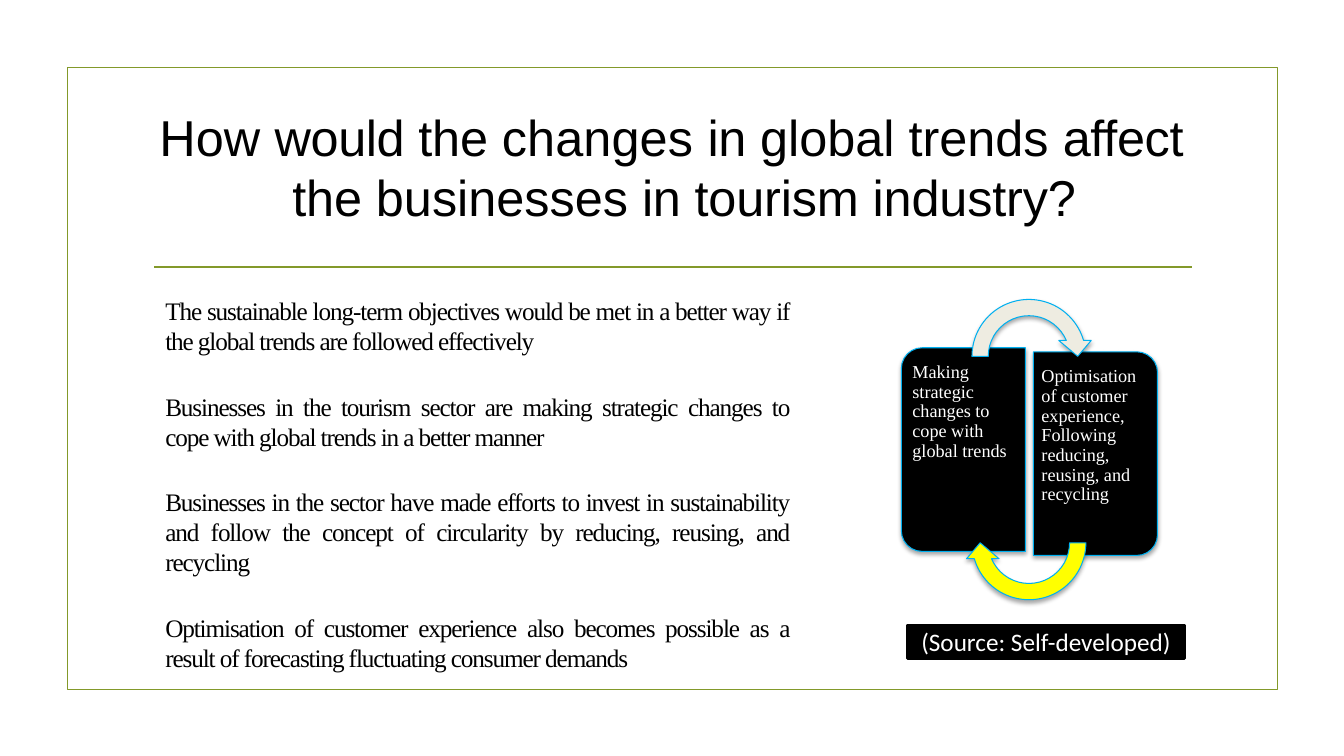
from lxml import etree
from pptx import Presentation
from pptx.dml.color import RGBColor
from pptx.enum import shapes, text
from pptx.oxml.ns import qn
from pptx.util import Inches, Pt

GREEN, BLACK, WHITE, BLUE = "83992A", "000000", "FFFFFF", "00B0F0"
SERIF = "Times New Roman"
TITLE = [("How ", 10), ("would ", -30), ("the ", -10), ("changes ", 10),
         ("in ", -30), ("global trends ", 0), ("affect ", -20), ("the ", -10),
         ("businesses ", 0), ("in ", -30), ("tourism industry?", -10)]
POINTS = [
    "The sustainable long-term objectives would be met in a better way if the "
    "global trends are followed effectively",
    "Businesses in the tourism sector are making strategic changes to cope with "
    "global trends in a better manner",
    "Businesses in the sector have made efforts to invest in sustainability and "
    "follow the concept of circularity by reducing, reusing, and recycling",
    "Optimisation of customer experience also becomes possible as a result of "
    "forecasting fluctuating consumer demands",
]
CARDS = [  # text, rotation, x and y offsets, left and right insets
    ("Making strategic changes to cope with global trends",
     270, 0, 0, 0.05, 0.08),
    ("Optimisation of customer experience, Following reducing, reusing, and "
     "recycling", 90, 1.31, 0.04, 0.08, 0.05),
]
ARROWS = [("EEECE1", 0, 0), ("FFFF00", 180, 1.85)]  # fill, rotation, y offset


def rgb(value):
    return RGBColor.from_string(value)


def set_attrs(obj, values):
    for name, value in values.items():
        setattr(obj, name, value)


def add_run(p, words, font, size, color, spacing=0):
    r = p.add_run()
    r.text = words
    set_attrs(r.font, {"name": font, "size": Pt(size)})
    r.font.color.rgb = rgb(color)
    if spacing:
        r._r.get_or_add_rPr().set("spc", str(spacing))


def add_text_box(slide, box, insets):
    tf = slide.shapes.add_textbox(*map(Inches, box)).text_frame
    left, top, right, bottom = map(Inches, insets)
    set_attrs(tf, {"word_wrap": True, "margin_left": left, "margin_top": top,
                   "margin_right": right, "margin_bottom": bottom})
    return tf


def add_shape(slide, kind, box, fill, line, width, rotation=0, shadow=False):
    sp = slide.shapes.add_shape(kind, *map(Inches, box))
    sp.shadow.inherit = False
    sp.rotation = rotation
    if fill:
        sp.fill.solid()
        sp.fill.fore_color.rgb = rgb(fill)
    else:
        sp.fill.background()
    sp.line.color.rgb = rgb(line)
    sp.line.width = Pt(width)
    if shadow:
        effects = sp._element.spPr.find(qn("a:effectLst"))
        outer = etree.SubElement(effects, qn("a:outerShdw"), blurRad="40000",
                                 dist="23000", dir="5400000", rotWithShape="0")
        color = etree.SubElement(outer, qn("a:srgbClr"), val=BLACK)
        etree.SubElement(color, qn("a:alpha"), val="35000")
    return sp


def add_frame(slide, x, y, w, h):
    add_shape(slide, shapes.MSO_SHAPE.RECTANGLE, (x, y, w, h), None, GREEN, 1.25)
    # Rule under the title
    rule = slide.shapes.add_connector(
        shapes.MSO_CONNECTOR.STRAIGHT, Inches(x + 0.86), Inches(y + 1.98),
        Inches(x + 11.15), Inches(y + 1.98))
    rule.line.color.rgb = rgb(GREEN)
    rule.line.width = Pt(1.25)
    etree.SubElement(rule._element.spPr, qn("a:effectLst"))


def add_title(slide, x, y, w, h):
    p = add_text_box(slide, (x, y, w, h), (0, 0.22, 0, 0)).paragraphs[0]
    set_attrs(p, {"line_spacing": Pt(42.8), "space_before": Pt(2.5)})
    # Hanging indent that centres the second line
    pPr = p._p.get_or_add_pPr()
    pPr.set("marL", str(Inches(1.42)))
    pPr.set("indent", str(Inches(-1.32)))
    for words, spacing in TITLE:
        add_run(p, words, "Arial", 36, BLACK, spacing)


def add_points(slide, x, y, w, h):
    tf = add_text_box(slide, (x, y, w, h), (0, 0.01, 0, 0))
    for i, point in enumerate(POINTS):
        p = tf.add_paragraph() if i else tf.paragraphs[0]
        set_attrs(p, {"alignment": text.PP_ALIGN.JUSTIFY, "line_spacing": 1.0,
                      "space_before": Pt(25 if i else 1.1)})
        p._p.get_or_add_pPr().set("marL", str(Inches(0.01)))
        add_run(p, point, SERIF, 18, BLACK, -80)


def add_cycle(slide, x, y, w, h):
    # Cards: rounded shapes turned on their side, with upright text
    card_w, card_h = 1.23, 2.02
    for words, rotation, dx, dy, left, right in CARDS:
        card_x, card_y = x + dx, y + 0.56 + dy
        shift = (card_h - card_w) / 2
        sp = add_shape(slide, shapes.MSO_SHAPE.ROUND_2_SAME_RECTANGLE,
                       (card_x - shift, card_y + shift, card_h, card_w),
                       BLACK, BLUE, 0.75, rotation, True)
        sp.adjustments[0] = 0.167
        sp.adjustments[1] = 0
        text_x = card_x + (0.06 if rotation == 270 else 0)
        p = add_text_box(slide, (text_x, card_y + 0.06, 1.17, 1.9),
                         (left, 0.09, right, 0.09)).paragraphs[0]
        p.line_spacing = 0.9
        add_run(p, words, SERIF, 13, WHITE)
    # Arrows above and below the cards
    size = 1.29
    for fill, rotation, dy in ARROWS:
        sp = add_shape(slide, shapes.MSO_SHAPE.CIRCULAR_ARROW,
                       (x + (w - size) / 2, y + dy, size, size),
                       fill, BLUE, 0.75, rotation, True)
        for i, value in enumerate((0.125, 11.423, 204.577, 108, 0.125)):
            sp.adjustments[i] = value


def add_source(slide, x, y, w, h):
    sp = add_shape(slide, shapes.MSO_SHAPE.RECTANGLE, (x, y, w, h),
                   BLACK, BLACK, 2)
    tf = sp.text_frame
    set_attrs(tf, {"word_wrap": True,
                   "vertical_anchor": text.MSO_ANCHOR.MIDDLE})
    p = tf.paragraphs[0]
    p.alignment = text.PP_ALIGN.CENTER
    add_run(p, "(Source: Self-developed)", "Calibri", 18, WHITE)


def main():
    prs = Presentation()
    set_attrs(prs, {"slide_width": Inches(13.33), "slide_height": Inches(7.5)})
    slide = prs.slides.add_slide(prs.slide_layouts[6])
    add_frame(slide, 0.67, 0.67, 12, 6.17)
    add_title(slide, 1.48, 0.84, 10.37, 1.5)
    add_points(slide, 1.63, 2.92, 6.2, 4.05)
    add_cycle(slide, 8.94, 2.89, 2.53, 3.14)
    add_source(slide, 9, 6.2, 2.75, 0.33)
    prs.save("out.pptx")


if __name__ == "__main__":
    main()
